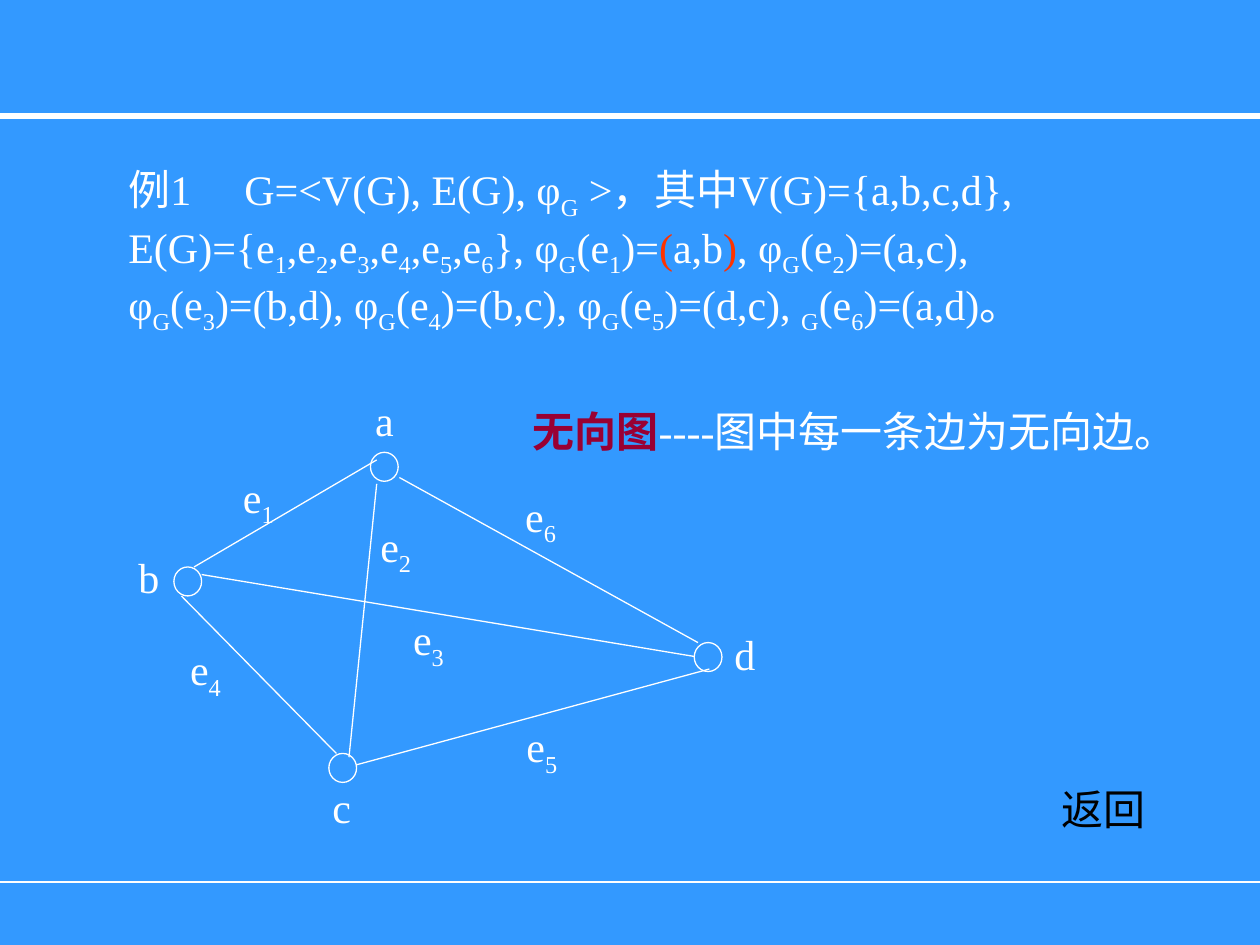
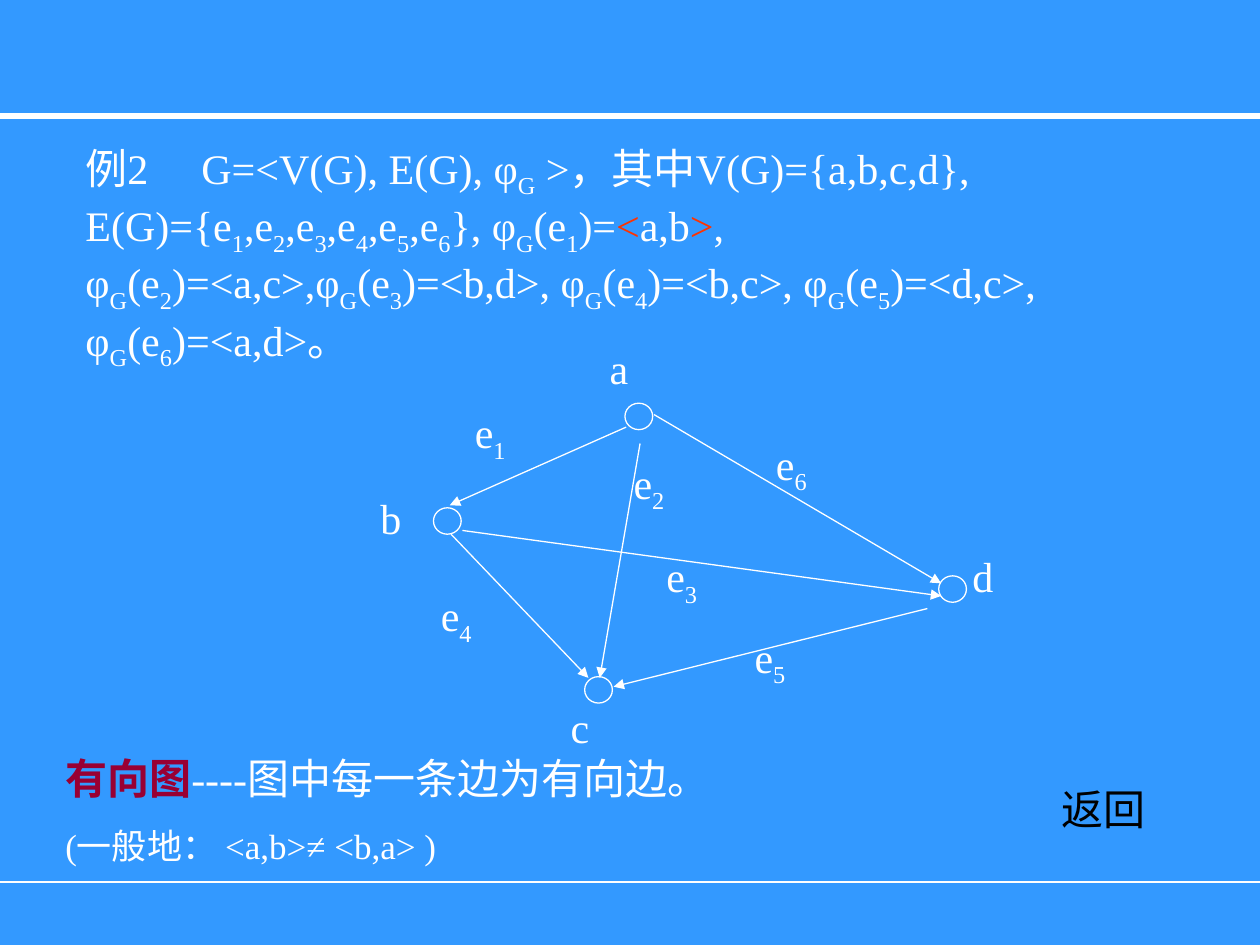
import pptx
import pptx.dml.color
import pptx.enum.shapes
import pptx.enum.text
import pptx.oxml
import pptx.oxml.ns
import pptx.util
from pptx.util import Inches

BLUE, WHITE, BLACK = "3399FF", "FFFFFF", "000000"
RED, CRIMSON = "FF3300", "990033"


def colour(value):
    return pptx.dml.color.RGBColor.from_string(value)


def xml_element(tag, **attributes):
    element = pptx.oxml.parse_xml(f"<{tag} {pptx.oxml.ns.nsdecls('a')}/>")
    for name, value in attributes.items():
        element.set(name, str(value))
    return element


class GraphDeck:
    """Holds the shared style and the slide being drawn."""

    font = "Times New Roman"
    size = 24
    thin = 0.75
    thick = 3

    def __init__(self):
        self.presentation = pptx.Presentation()
        self.presentation.slide_width = Inches(10)
        self.presentation.slide_height = Inches(7.5)
        fill = self.presentation.slide_master.background.fill
        fill.solid()
        fill.fore_color.rgb = colour(BLUE)

    def new_slide(self):
        """Start a slide with the two rules and the return label."""
        slide = self.presentation.slides.add_slide(self.presentation.slide_layouts[6])
        self.shapes = slide.shapes
        self.line((0, 0.92), (10, 0.92), self.thick)
        self.line((0, 7), (10, 7), self.thin)
        self.text(["返回"], 8.33, 6.17, 1.08, 0.5, main=BLACK)

    def line(self, start, end, width, arrow=False, shapes=None):
        shapes = shapes or self.shapes
        connector = shapes.add_connector(
            pptx.enum.shapes.MSO_CONNECTOR.STRAIGHT,
            *(Inches(value) for value in (*start, *end)))
        connector.line.color.rgb = colour(WHITE)
        connector.line.width = pptx.util.Pt(width)
        if arrow:
            connector.line._get_or_add_ln().append(xml_element("a:tailEnd", type="triangle"))
        connector._element.spPr.append(xml_element("a:effectLst"))

    def circle(self, left, top, width, height, shapes):
        shape = shapes.add_shape(
            pptx.enum.shapes.MSO_SHAPE.OVAL,
            *(Inches(value) for value in (left, top, width, height)))
        shape.shadow.inherit = False
        shape.fill.background()
        shape.line.color.rgb = colour(WHITE)
        shape.line.width = pptx.util.Pt(self.thin)

    def run(self, paragraph, text, size, shade, bold, subscript):
        run = paragraph.add_run()
        run.text = text
        run.font.name = self.font
        run.font.size = pptx.util.Pt(size)
        run.font.color.rgb = colour(shade)
        run.font.bold = bold
        if subscript:
            run._r.get_or_add_rPr().set("baseline", "-25000")

    def text(self, lines, left, top, width, height, main=WHITE, accent=RED,
             bold=False, sizes=(), tab=None, space=0, shapes=None):
        """In lines, |x| is accented and _x makes one character a subscript."""
        box = (shapes or self.shapes).add_textbox(
            *(Inches(value) for value in (left, top, width, height)))
        frame = box.text_frame
        frame.word_wrap = True
        frame.auto_size = pptx.enum.text.MSO_AUTO_SIZE.SHAPE_TO_FIT_TEXT
        for index, line in enumerate(lines):
            paragraph = frame.add_paragraph() if index else frame.paragraphs[0]
            if index and space:
                paragraph.space_before = pptx.util.Pt(space)
            if tab:
                tabs = xml_element("a:tabLst")
                tabs.append(xml_element("a:tab", pos=Inches(tab), algn="l"))
                paragraph._p.get_or_add_pPr().append(tabs)
            size = sizes[index] if sizes else self.size
            for part, section in enumerate(line.split("|")):
                accented = part % 2 == 1
                shade = accent if accented else main
                plain, *marked = section.split("_")
                pieces = [(plain, False)]
                for piece in marked:
                    pieces += [(piece[0], True), (piece[1:], False)]
                for piece, subscript in pieces:
                    if piece:
                        self.run(paragraph, piece, size, shade, bold and accented, subscript)

    def example(self, lines, *place):
        self.text(lines, *place, tab=0.92)

    def definition(self, lines, *place, sizes=()):
        self.text(lines, *place, accent=CRIMSON, bold=True, sizes=sizes, space=12.5)

    def graph(self, nodes, edges, node_size, label_width, directed):
        """nodes: name -> (circle, label); edges in order: (start, end, label)."""
        shapes = self.shapes.add_group_shape().shapes
        for name, (corner, label) in nodes.items():
            self.circle(*corner, *node_size, shapes)
            self.text([name], *label, label_width, 0.5, shapes=shapes)
        for number, (start, end, label) in enumerate(edges, 1):
            self.line(start, end, self.thin, directed, shapes)
            self.text([f"e_{number}"], *label, label_width + 0.22, 0.56, shapes=shapes)


def undirected_slide(deck):
    deck.new_slide()
    deck.example(
        ["例1\tG=<V(G), E(G), φ_G >，其中V(G)={a,b,c,d}, "
         "E(G)={e_1,e_2,e_3,e_4,e_5,e_6}, φ_G(e_1)=|(|a,b|)|, φ_G(e_2)=(a,c),",
         "φ_G(e_3)=(b,d), φ_G(e_4)=(b,c), φ_G(e_5)=(d,c), _G(e_6)=(a,d)。"],
        0.92, 1.25, 7.95, 1.47)
    nodes = {
        "a": ((2.94, 3.59), (2.88, 3.08)),
        "b": ((1.38, 4.5), (1, 4.33)),
        "c": ((2.61, 5.98), (2.54, 6.15)),
        "d": ((5.51, 5.1), (5.73, 4.94)),
    }
    edges = [
        ((1.54, 4.5), (2.99, 3.65), (1.83, 3.69)),
        ((2.99, 3.84), (2.77, 6.01), (2.92, 4.08)),
        ((1.6, 4.56), (5.51, 5.21), (3.18, 4.82)),
        ((1.44, 4.73), (2.67, 5.98), (1.41, 5.06)),
        ((2.83, 6.07), (5.63, 5.31), (4.08, 5.67)),
        ((3.17, 3.79), (5.54, 5.1), (4.07, 3.84)),
    ]
    deck.graph(nodes, edges, (0.22, 0.23), 0.56, directed=False)
    deck.definition(["|无向图|----图中每一条边为无向边。"], 4.13, 3.17, 5.37, 0.9)


def directed_slide(deck):
    deck.new_slide()
    deck.example(
        ["例2\tG=<V(G), E(G), φ_G >，其中V(G)={a,b,c,d}, "
         "E(G)={e_1,e_2,e_3,e_4,e_5,e_6}, φ_G(e_1)=|<|a,b|>|, "
         "φ_G(e_2)=<a,c>,φ_G(e_3)=<b,d>, φ_G(e_4)=<b,c>, "
         "φ_G(e_5)=<d,c>, φ_G(e_6)=<a,d>。"],
        0.58, 1.08, 9, 1.92)
    nodes = {
        "a": ((4.96, 3.2), (4.74, 2.67)),
        "b": ((3.44, 4.03), (2.92, 3.86)),
        "c": ((4.64, 5.37), (4.43, 5.52)),
        "d": ((7.45, 4.57), (7.62, 4.32)),
    }
    edges = [
        ((4.97, 3.39), (3.57, 4.01), (3.67, 3.18)),
        ((5.08, 3.52), (4.76, 5.38), (4.93, 3.58)),
        ((3.67, 4.21), (7.47, 4.73), (5.19, 4.32)),
        ((3.58, 4.24), (4.67, 5.38), (3.4, 4.63)),
        ((7.36, 4.83), (4.87, 5.45), (5.89, 4.96)),
        ((5.19, 3.29), (7.47, 4.63), (6.06, 3.43)),
    ]
    deck.graph(nodes, edges, (0.22, 0.21), 0.54, directed=True)
    deck.definition(
        ["|有向图|----图中每一条边为有向边。", "(一般地： <a,b>≠ <b,a> )"],
        0.42, 5.92, 6.24, 1.01, sizes=(24, 20))


def main():
    deck = GraphDeck()
    undirected_slide(deck)
    directed_slide(deck)
    deck.presentation.save("out.pptx")


if __name__ == "__main__":
    main()
